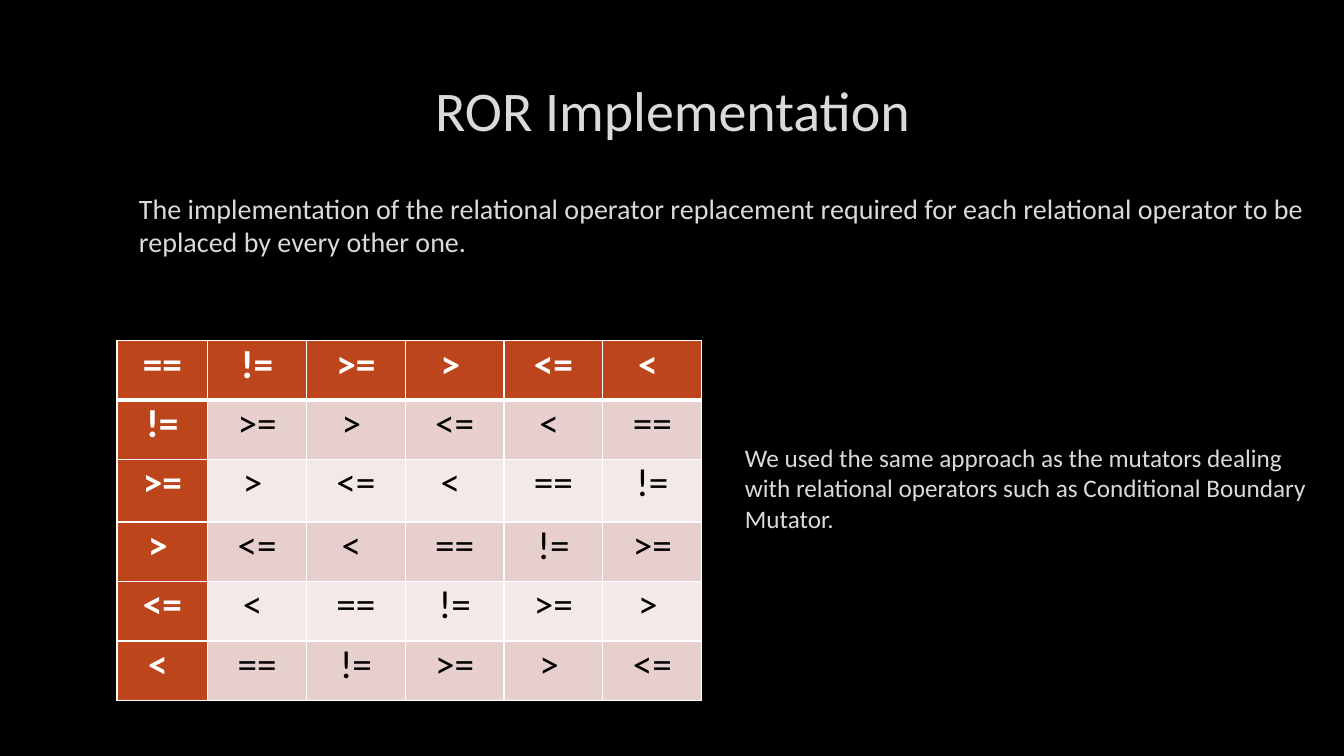
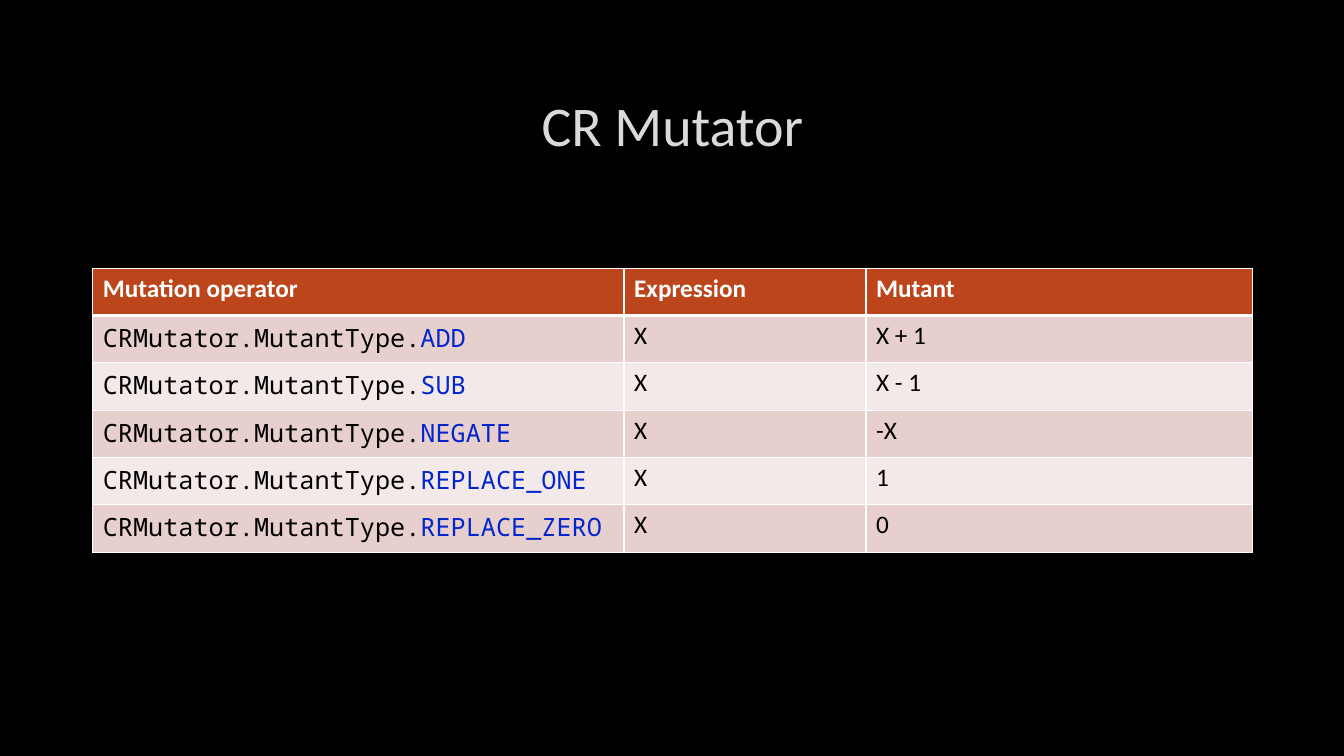
"""Build two slides on mutation operators, each with a title and a banded table."""
from lxml import etree
from pptx import Presentation
from pptx.dml.color import RGBColor
from pptx.enum import text as t
from pptx.oxml import ns
from pptx.util import Inches, Pt

BACKGROUND = "000000"
LIGHT_TEXT = "DADADA"
OUTLINE = "404040"
HEADER = "BC451B"
BANDS = ["F3E9E8", "E7CFCD"]
WHITE = "FFFFFF"
BLACK = "000000"
CONSTANT = "0326CC"


def write(frame, text, size=18, color=LIGHT_TEXT, font="Calibri", bold=False,
          align=t.PP_ALIGN.LEFT):
    paragraph = frame.paragraphs[0]
    paragraph.alignment = align
    run = paragraph.add_run()
    run.text = text
    run.font.size = Pt(size)
    run.font.name = font
    run.font.bold = bold
    run.font.color.rgb = RGBColor.from_string(color)
    return run


def add_line(parent, tag, color, points):
    line = etree.SubElement(parent, ns.qn(tag), w=str(Pt(points)))
    fill = etree.SubElement(line, ns.qn("a:solidFill"))
    return etree.SubElement(fill, ns.qn("a:srgbClr"), val=color)


presentation = Presentation()
presentation.slide_width = Inches(13.33)
presentation.slide_height = Inches(7.5)
background = presentation.slide_master.background.fill
background.solid()
background.fore_color.rgb = RGBColor.from_string(BACKGROUND)

operators = ["==", "!=", ">=", "> ", "<=", "< "]
operator_rows = [operators[shift:] + operators[:shift] for shift in range(len(operators))]
mutator_rows = [
    ["Mutation operator", "Expression", "Mutant"],
    ["CRMutator.MutantType.ADD", "X", "X + 1"],
    ["CRMutator.MutantType.SUB", "X", "X - 1"],
    ["CRMutator.MutantType.NEGATE", "X", "-X"],
    ["CRMutator.MutantType.REPLACE_ONE", "X", "1"],
    ["CRMutator.MutantType.REPLACE_ZERO", "X", "0"],
]

slide_plans = [
    dict(title="ROR Implementation", title_top=0.36, title_height=1.45,
         rows=operator_rows, left=1.16, top=3.38, widths=[0.9] + [0.98] * 5,
         heights=[0.59, 0.59, 0.62, 0.59, 0.59, 0.59], size=28,
         align=t.PP_ALIGN.CENTER, margins=(0.17, 0), first_column=True),
    dict(title="CR Mutator", title_top=0.4, title_height=1.67,
         rows=mutator_rows, left=0.92, top=2.66, widths=[5.27, 2.4, 3.83],
         heights=[0.47] * 6, size=18,
         align=t.PP_ALIGN.LEFT, margins=(0.1, 0.05), first_column=False),
]

for plan in slide_plans:
    slide = presentation.slides.add_slide(presentation.slide_layouts[5])
    title = slide.shapes.title
    title.left, title.top = Inches(0.92), Inches(plan["title_top"])
    title.width, title.height = Inches(11.5), Inches(plan["title_height"])
    title.text_frame.auto_size = t.MSO_AUTO_SIZE.NONE
    title.text_frame.vertical_anchor = t.MSO_ANCHOR.MIDDLE
    run = write(title.text_frame, plan["title"], size=40, align=t.PP_ALIGN.CENTER)
    properties = run.font._element
    outline = add_line(properties, "a:ln", OUTLINE, 0.75)
    etree.SubElement(outline, ns.qn("a:alpha"), val="10000")
    properties.insert(0, properties.find(ns.qn("a:ln")))

    rows, widths, heights = plan["rows"], plan["widths"], plan["heights"]
    table = slide.shapes.add_table(
        len(rows), len(widths), Inches(plan["left"]), Inches(plan["top"]),
        Inches(sum(widths)), Inches(sum(heights))).table
    table.first_col = plan["first_column"]
    for column, width in zip(table.columns, widths):
        column.width = Inches(width)
    for row, height in zip(table.rows, heights):
        row.height = Inches(height)

    for row_index, values in enumerate(rows):
        for column_index, value in enumerate(values):
            cell = table.cell(row_index, column_index)
            is_header = row_index == 0 or (plan["first_column"] and column_index == 0)
            side, edge = plan["margins"]
            cell.margin_left = cell.margin_right = Inches(side)
            cell.margin_top = cell.margin_bottom = Inches(edge)
            cell_properties = cell._tc.get_or_add_tcPr()
            border_widths = {"a:lnL": 1, "a:lnR": 1,
                             "a:lnT": 3 if row_index == 1 else 1,
                             "a:lnB": 3 if row_index == 0 else 1}
            for tag, points in border_widths.items():
                add_line(cell_properties, tag, WHITE, points)
            cell.fill.solid()
            cell.fill.fore_color.rgb = RGBColor.from_string(
                HEADER if is_header else BANDS[row_index % 2])
            prefix, dot, constant = value.rpartition(".")
            if dot:
                for part, color in [(prefix + dot, BLACK), (constant, CONSTANT)]:
                    write(cell.text_frame, part, color=color, font="Noto Sans Mono")
            else:
                write(cell.text_frame, value, size=plan["size"], bold=is_header,
                      color=WHITE if is_header else BLACK, align=plan["align"])

notes = [
    ("The implementation of the relational operator replacement required for each "
     "relational operator to be replaced by every other one.",
     (1.28, 1.58, 11.79, 1.3), 20, 0.05),
    ("We used the same approach as the mutators dealing with relational operators "
     "such as Conditional Boundary Mutator.",
     (7.29, 3, 5.91, 3.98), 18, 0.35),
]
for text, bounds, size, bottom_margin in notes:
    box = presentation.slides[0].shapes.add_textbox(*[Inches(length) for length in bounds])
    frame = box.text_frame
    frame.word_wrap = True
    frame.vertical_anchor = t.MSO_ANCHOR.MIDDLE
    frame.margin_bottom = Inches(bottom_margin)
    write(frame, text, size=size)

presentation.save("out.pptx")
